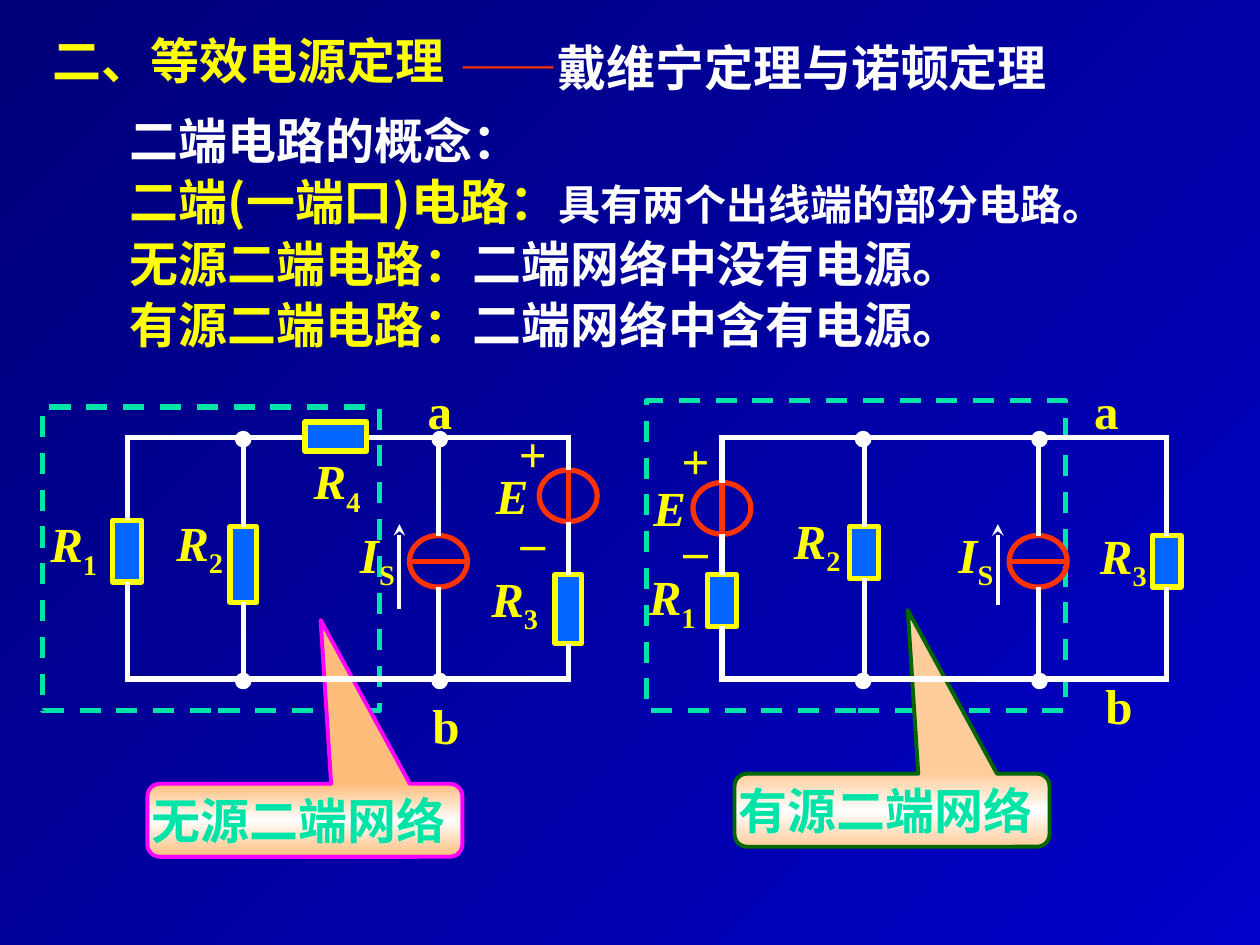
from lxml import etree
from pptx import Presentation
from pptx.dml.color import RGBColor
from pptx.enum import dml, shapes, text
from pptx.oxml import ns
from pptx.util import Inches, Pt

YELLOW = RGBColor(0xFF, 0xFF, 0x03)
WHITE = RGBColor(0xFF, 0xFF, 0xFF)
RED = RGBColor(0xFF, 0x33, 0x00)
GREEN = RGBColor(0x00, 0xE4, 0xA8)
BLUE = RGBColor(0x00, 0x66, 0xFF)
MAGENTA = RGBColor(0xFF, 0x00, 0xFF)
DARK_GREEN = RGBColor(0x00, 0x66, 0x00)
ORANGE = RGBColor(0xFF, 0xBD, 0x7B)
PEACH = RGBColor(0xFF, 0xCD, 0x9B)
NAVY = RGBColor(0x00, 0x00, 0x78)
ROYAL = RGBColor(0x00, 0x00, 0xC8)

SERIF, SANS, CJK = "Times New Roman", "Lato", "Noto Sans CJK SC"

# A paragraph is a list of runs: (text, format that differs from the default)
TITLE = [[("二、等效电源定理", {})]]
SUBTITLE = [[("——", {"color": RED}), ("戴维宁定理与诺顿定理", {})]]
DEFINITIONS = [
    [("二端电路的概念：", {})],
    [("二端(一端口)电路：", {"color": YELLOW}),
     ("具有两个出线端的部分电路。", {"size": 24})],
    [("无源二端电路：", {"color": YELLOW}), ("二端网络中没有电源。", {})],
    [("有源二端电路：", {"color": YELLOW}), ("二端网络中含有电源。", {})],
]

NETWORK_FRAMES = [(0.34, 3.23, 2.67, 2.41), (5.13, 3.18, 3.33, 2.46)]
CALLOUTS = [
    ("无源二端网络", 1.17, 6.22, ORANGE, MAGENTA),
    ("有源二端网络", 5.83, 6.14, PEACH, DARK_GREEN),
]

TOP_RAIL, BOTTOM_RAIL = 3.47, 5.39
SOURCE_W, SOURCE_H, DOT = 0.46, 0.41, 0.09

# branches: x and parts from top to bottom, as (kind, top, width, height)
# labels: left, top, symbol, subscript
CIRCUITS = [
    {
        "branches": [
            (1.01, [("resistor", 4.13, 0.23, 0.49)]),
            (1.93, [("resistor", 4.18, 0.21, 0.6)]),
            (3.48, [("current", 4.25, SOURCE_W, SOURCE_H)]),
            (4.51, [("voltage", 3.73, SOURCE_W, SOURCE_H),
                    ("resistor", 4.56, 0.21, 0.55)]),
        ],
        "nodes": [1.93, 3.49],
        "series": [(2.42, 3.35, 0.49, 0.23)],
        "arrow": (3.17, 4.83),
        "labels": [
            (0.08, 4.06, "R", "1"), (1.08, 4.05, "R", "2"), (3.58, 4.49, "R", "3"),
            (2.17, 3.56, "R", "4"), (2.49, 4.14, "I", "S"), (3.75, 3.64, "E", ""),
        ],
        "polarity": (4.0, 3.31),
        "terminals": [("a", 3.28, 2.97), ("b", 3.33, 5.47)],
    },
    {
        "branches": [
            (5.73, [("voltage", 3.83, SOURCE_W, SOURCE_H),
                    ("resistor", 4.56, 0.23, 0.41)]),
            (6.86, [("resistor", 4.18, 0.23, 0.41)]),
            (8.24, [("current", 4.25, SOURCE_W, SOURCE_H)]),
            (9.26, [("resistor", 4.25, 0.23, 0.41)]),
        ],
        "nodes": [6.85, 8.25],
        "series": [],
        "arrow": (7.92, 4.8),
        "labels": [
            (4.83, 4.48, "R", "1"), (5.98, 4.03, "R", "2"), (8.41, 4.15, "R", "3"),
            (7.24, 4.14, "I", "S"), (5.0, 3.74, "E", ""),
        ],
        "polarity": (5.29, 3.37),
        "terminals": [("a", 8.57, 2.97), ("b", 8.67, 5.31)],
    },
]


def write(frame, paragraphs, *, font=SERIF, color=YELLOW, size=28, align="LEFT",
          anchor="MIDDLE", wrap=True, before=0, line=None):
    frame.word_wrap = wrap
    frame.auto_size = text.MSO_AUTO_SIZE.NONE
    frame.vertical_anchor = getattr(text.MSO_ANCHOR, anchor)
    for i, runs in enumerate(paragraphs):
        para = frame.paragraphs[0] if i == 0 else frame.add_paragraph()
        para.alignment = getattr(text.PP_ALIGN, align)
        para.space_before = Pt(before if i else 0)
        if line:
            para.line_spacing = Pt(line)
        for words, change in runs:
            run = para.add_run()
            run.text = words
            run.font.name, run.font.bold = font, True
            run.font.italic = change.get("italic", False)
            run.font.size = Pt(change.get("size", size))
            run.font.color.rgb = change.get("color", color)
            props = run._r.get_or_add_rPr()
            etree.SubElement(props, ns.qn("a:ea")).set("typeface", CJK)
            if change.get("sub"):
                props.set("baseline", "-25000")


def set_gradient(fill, element, colors, angle):
    """Spread any number of colours evenly over a gradient fill."""
    fill.gradient()
    fill.gradient_angle = angle
    stops = next(element.iter(ns.qn("a:gsLst")))
    for stop in list(stops):
        stops.remove(stop)
    for i, color in enumerate(colors):
        stop = etree.SubElement(stops, ns.qn("a:gs"))
        stop.set("pos", str(100000 * i // (len(colors) - 1)))
        etree.SubElement(stop, ns.qn("a:srgbClr")).set("val", str(color))


def place(item, *box):
    item.left, item.top, item.width, item.height = map(Inches, box)


def add_box(parent, kind, box, line, fill=None, width=3):
    item = parent.add_shape(getattr(shapes.MSO_SHAPE, kind), *map(Inches, box))
    item.shadow.inherit = False
    item.line.color.rgb, item.line.width = line, Pt(width)
    if fill is None:
        item.fill.background()
    else:
        item.fill.solid()
        item.fill.fore_color.rgb = fill
    return item


def add_wire(parent, x1, y1, x2, y2, color=WHITE, width=3):
    wire = parent.add_connector(shapes.MSO_CONNECTOR.STRAIGHT,
                                *map(Inches, (x1, y1, x2, y2)))
    wire.line.color.rgb, wire.line.width = color, Pt(width)
    etree.SubElement(wire._element.spPr, ns.qn("a:effectLst"))
    return wire


def add_text(parent, box, paragraphs, **fmt):
    write(parent.add_textbox(*map(Inches, box)).text_frame, paragraphs, **fmt)


def add_branch(parent, x, parts):
    """Stack the parts between the rails and wire the gaps."""
    above, above_end = None, TOP_RAIL
    for kind, top, width, height in parts + [("rail", BOTTOM_RAIL, 0, 0)]:
        left, middle = x - width / 2, top + height / 2
        part = None
        if kind == "resistor":
            part = add_box(parent, "RECTANGLE", (left, top, width, height), YELLOW, BLUE)
        elif kind != "rail":
            add_box(parent, "OVAL", (left, top, width, height), RED)
            if kind == "current":
                add_wire(parent, left, middle, left + width, middle, RED)
            else:
                add_wire(parent, x, top, x, top + height, RED)
        wire = add_wire(parent, x, above_end, x, top)
        if above:
            wire.begin_connect(above, 2)
        if part:
            wire.end_connect(part, 0)
        above, above_end = part, top + height


def add_circuit(parent, circuit):
    branches = circuit["branches"]
    for x, parts in branches:
        add_branch(parent, x, parts)
    for rail in (TOP_RAIL, BOTTOM_RAIL):
        add_wire(parent, branches[0][0] - 0.02, rail, branches[-1][0] + 0.02, rail)
        for x in circuit["nodes"]:
            add_box(parent, "OVAL", (x - DOT / 2, rail - 0.03, DOT, DOT), WHITE, WHITE)
    for box in circuit["series"]:
        add_box(parent, "RECTANGLE", box, YELLOW, BLUE)
    x, tail = circuit["arrow"]
    arrow = add_wire(parent, x, tail, x, 4.16, width=2.25)
    etree.SubElement(arrow.line._get_or_add_ln(), ns.qn("a:tailEnd")).set("type", "stealth")
    for left, top, symbol, sub in circuit["labels"]:
        runs = [(symbol, {"italic": True})] + ([(sub, {"sub": True})] if sub else [])
        add_text(parent, (left, top, 1.01 if sub else 0.63, 0.57), [runs], align="CENTER")
    add_text(parent, (*circuit["polarity"], 0.46, 1.27), [[("+", {})], [("–", {})]],
             align="CENTER", before=17)
    for name, left, top in circuit["terminals"]:
        add_text(parent, (left, top, 0.42, 0.57), [[(name, {})]], align="CENTER", wrap=False)


def main():
    prs = Presentation()
    prs.slide_width, prs.slide_height = Inches(10), Inches(7.5)
    slide = prs.slides.add_slide(prs.slide_layouts[1])
    set_gradient(slide.background.fill, slide._element, [NAVY, ROYAL], 315)

    title, body = slide.placeholders
    place(title, 0.32, 0.23, 3.65, 0.49)
    write(title.text_frame, TITLE, font=SANS)
    place(body, 0.48, 0.83, 9.22, 2.05)
    write(body.text_frame, DEFINITIONS, font=CJK, color=WHITE, anchor="TOP",
          before=1.5, line=33.5)
    for para in body.text_frame.paragraphs:
        props = para._p.get_or_add_pPr()
        props.set("marL", str(Inches(0.45)))
        props.set("indent", "0")
        etree.SubElement(props, ns.qn("a:buNone"))
    add_text(slide.shapes, (3.55, 0.23, 5.87, 0.57), SUBTITLE, color=WHITE,
             anchor="TOP", line=35)

    for box in NETWORK_FRAMES:
        add_box(slide.shapes, "RECTANGLE", box, GREEN).line.dash_style = dml.MSO_LINE.DASH
    for words, left, top, tint, edge in CALLOUTS:
        callout = add_box(slide.shapes, "ROUNDED_RECTANGULAR_CALLOUT",
                          (left, top, 2.5, 0.58), edge, width=2.25)
        for i, value in enumerate((0.05, -2.74, 0.17)):
            callout.adjustments[i] = value
        set_gradient(callout.fill, callout._element, [tint, WHITE, tint], 270)
        callout.text_frame.margin_right = Inches(0.2)
        write(callout.text_frame, [[(words, {})]], color=GREEN, align="CENTER", wrap=False)
    for circuit in CIRCUITS:
        add_circuit(slide.shapes.add_group_shape().shapes, circuit)
    prs.save("out.pptx")


if __name__ == "__main__":
    main()
